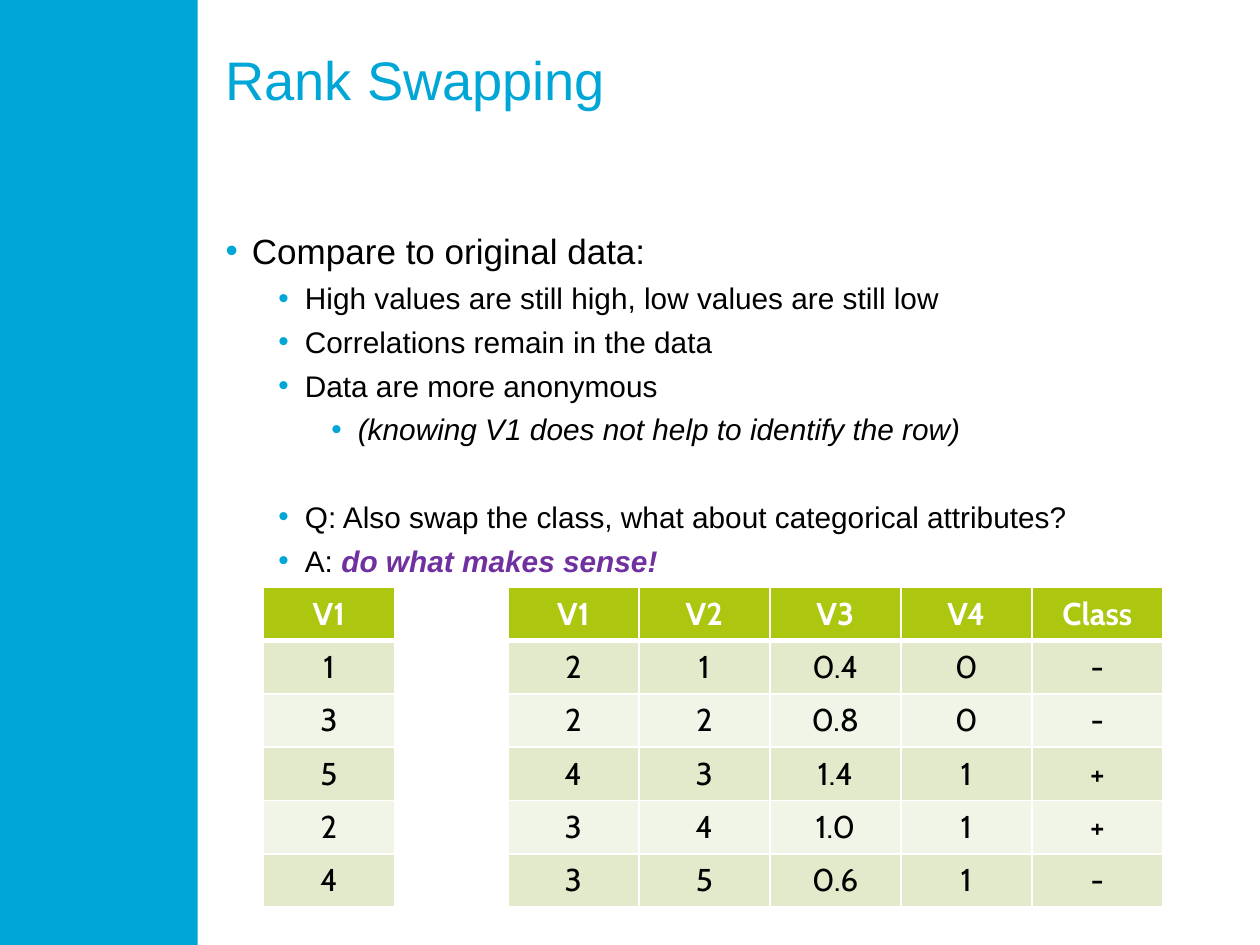
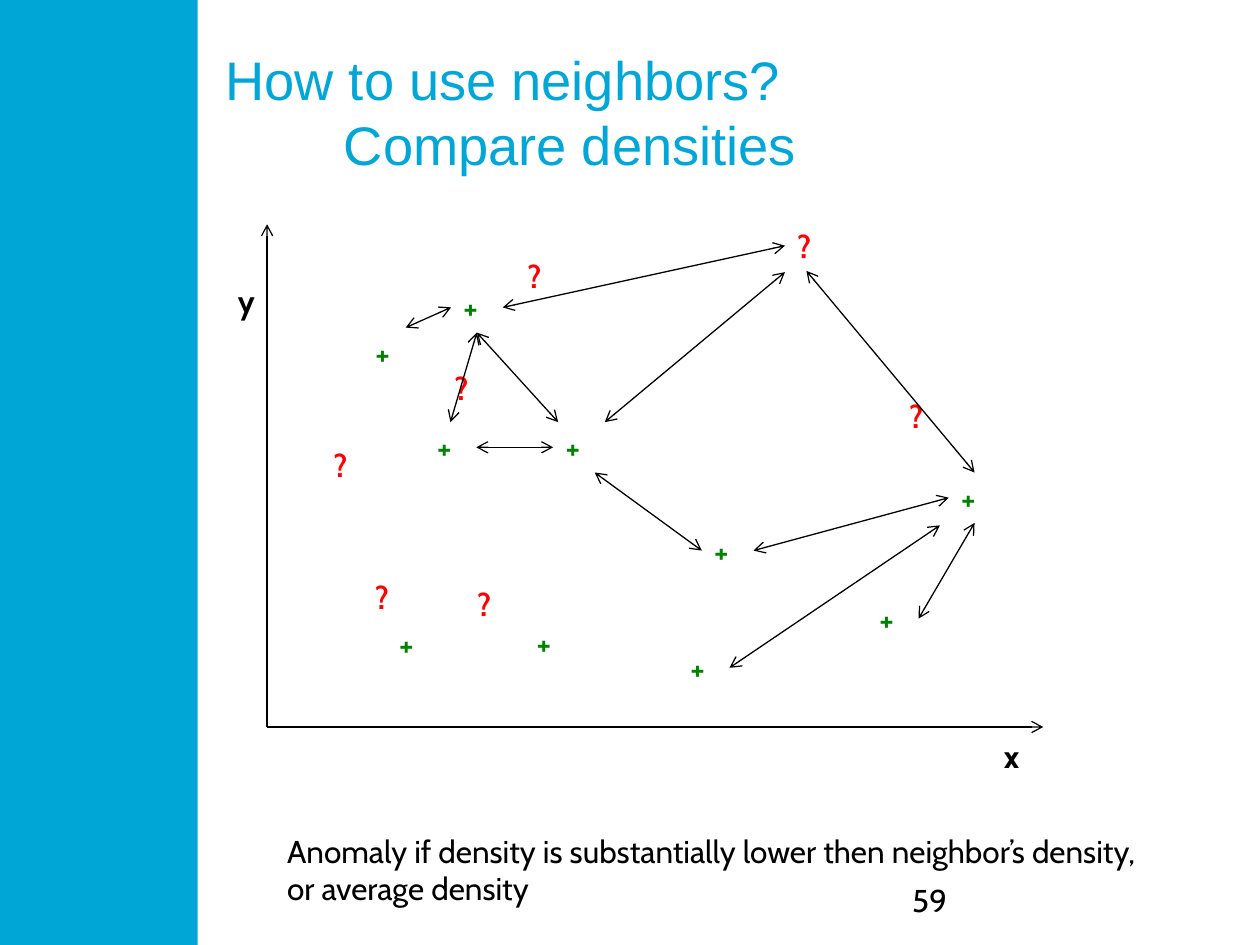
import pptx
import pptx.dml.color
import pptx.enum.shapes
import pptx.enum.text
import pptx.oxml.ns
import pptx.util
import lxml.etree

COLORS = {
    "band": "00A6D6", "black": "000000", "white": "FFFFFF", "answer": "7030A0",
    "header": "ADC610", "odd_row": "E3EACC", "even_row": "F1F5E7",
    "plus": "008000", "question": "FF0000",
}
Inches = pptx.util.Inches
qn = pptx.oxml.ns.qn


def write_text(paragraph, text, size=18, font="Cabin", color="black", bold=False, italic=False):
    run = paragraph.add_run()
    run.text = text
    run.font.size = pptx.util.Pt(size)
    run.font.name = font
    run.font.bold = bold
    run.font.italic = italic
    run.font.color.rgb = pptx.dml.color.RGBColor.from_string(COLORS[color])


def add_box(slide, left, top, width, height, inset_x=0.1, inset_y=0.05):
    shape = slide.shapes.add_textbox(Inches(left), Inches(top), Inches(width), Inches(height))
    frame = shape.text_frame
    frame.word_wrap = True
    frame.margin_left = frame.margin_right = Inches(inset_x)
    frame.margin_top = frame.margin_bottom = Inches(inset_y)
    return shape


presentation = pptx.Presentation()
presentation.slide_width = Inches(10)
presentation.slide_height = Inches(7.5)

slides = []
for title_lines in [["Rank Swapping"], ["How to use neighbors?", "Compare densities"]]:
    slide = presentation.slides.add_slide(presentation.slide_layouts[6])
    band = slide.shapes.add_shape(
        pptx.enum.shapes.MSO_SHAPE.RECTANGLE, 0, 0, Inches(1.57), Inches(7.5))
    band.shadow.inherit = False
    band.fill.solid()
    band.fill.fore_color.rgb = pptx.dml.color.RGBColor.from_string(COLORS["band"])
    band.line.fill.background()

    paragraph = add_box(slide, 1.79, 0.37, 7.7, 1.16, 0, 0).text_frame.paragraphs[0]
    properties = paragraph._p.get_or_add_pPr()
    properties.set("marL", str(Inches(0.94)))
    properties.set("indent", str(Inches(-0.94)))
    for index, line in enumerate(title_lines):
        if index:
            paragraph.add_line_break()
        write_text(paragraph, line, size=31, font="Arial", color="band")
    slides.append(slide)

swapping_slide, density_slide = slides

bullets = [
    (0, "Compare to original data:", {"size": 20}, 0),
    (1, "High values are still high, low values are still low", {}, 0),
    (1, "Correlations remain in the data", {}, 0),
    (1, "Data are more anonymous", {}, 0),
    (2, "(knowing V1 does not help to identify the row)", {"italic": True}, 0),
    (1, "Q: Also swap the class, what about categorical attributes?", {}, 25),
    (1, "A: ", {}, 0),
]
frame = add_box(swapping_slide, 1.79, 1.81, 7.7, 5.26, 0, 0).text_frame
for index, (level, text, text_format, space_before) in enumerate(bullets):
    paragraph = frame.add_paragraph() if index else frame.paragraphs[0]
    paragraph.level = level
    paragraph.line_spacing = pptx.util.Pt(25)
    paragraph.space_before = pptx.util.Pt(space_before)
    properties = paragraph._p.get_or_add_pPr()
    properties.set("marL", str(Inches(0.21 + 0.42 * level)))
    properties.set("indent", str(Inches(-0.21)))
    bullet_color = lxml.etree.SubElement(properties, qn("a:buClr"))
    lxml.etree.SubElement(bullet_color, qn("a:srgbClr"), val=COLORS["band"])
    lxml.etree.SubElement(properties, qn("a:buFont"), typeface="Arial")
    lxml.etree.SubElement(properties, qn("a:buChar"), char="•")
    write_text(paragraph, text, **{"size": 17, "font": "Arial", **text_format})
write_text(paragraph, "do what makes sense!", size=17, font="Arial",
           color="answer", bold=True, italic=True)

swapped_rows = [
    ["V1", "V2", "V3", "V4", "Class"],
    ["2", "1", "0.4", "0", "-"],
    ["2", "2", "0.8", "0", "-"],
    ["4", "3", "1.4", "1", "+"],
    ["3", "4", "1.0", "1", "+"],
    ["3", "5", "0.6", "1", "-"],
]
original_rows = [["V1"], ["1"], ["3"], ["5"], ["2"], ["4"]]
for left, rows in [(4.03, swapped_rows), (2.09, original_rows)]:
    column_count = len(rows[0])
    table = swapping_slide.shapes.add_table(
        len(rows), column_count, Inches(left), Inches(4.66),
        Inches(1.04 * column_count), Inches(2.54)).table
    for row_index, row in enumerate(rows):
        is_header = row_index == 0
        fill_name = "header" if is_header else "odd_row" if row_index % 2 else "even_row"
        for column_index, text in enumerate(row):
            cell = table.cell(row_index, column_index)
            cell.vertical_anchor = pptx.enum.text.MSO_ANCHOR.MIDDLE
            thick_side = {0: "B", 1: "T"}.get(row_index)
            for side in "LRTB":
                width = 3 if side == thick_side else 1
                border = lxml.etree.SubElement(
                    cell._tc.get_or_add_tcPr(), qn("a:ln" + side), w=str(pptx.util.Pt(width)))
                border_fill = lxml.etree.SubElement(border, qn("a:solidFill"))
                lxml.etree.SubElement(border_fill, qn("a:srgbClr"), val=COLORS["white"])
            cell.fill.solid()
            cell.fill.fore_color.rgb = pptx.dml.color.RGBColor.from_string(COLORS[fill_name])
            paragraph = cell.text_frame.paragraphs[0]
            paragraph.alignment = pptx.enum.text.PP_ALIGN.CENTER
            write_text(paragraph, text, color="white" if is_header else "black", bold=is_header)

plus_positions = {
    "center": (5.57, 4.17), "low_middle": (4.16, 4.9), "low_left": (3.07, 4.91),
    "inner_right": (4.39, 3.35), "upper_left": (2.88, 2.6), "inner_left": (3.37, 3.35),
    "low_center": (5.38, 5.1), "low_right": (6.88, 4.71), "right": (7.53, 3.75),
    "top": (3.58, 2.24),
}
question_positions = {
    "question_low_left": (2.88, 4.54), "question_right": (7.12, 3.1),
    "question_top_left": (4.09, 1.99), "question_top": (6.23, 1.75),
    "question_low": (3.69, 4.59), "question_inner": (3.51, 2.88),
    "question_left": (2.55, 3.49),
}
points = {}
for text, color, width, positions in [
    ("y", "black", 0.35, {"y": (1.79, 2.19)}),
    ("x", "black", 0.36, {"x": (7.87, 5.8)}),
    ("+", "plus", 0.41, plus_positions),
    ("?", "question", 0.34, question_positions),
]:
    for name, (left, top) in positions.items():
        points[name] = add_box(density_slide, left, top, width, 0.4)
        write_text(points[name].text_frame.paragraphs[0], text, color=color, bold=True)

TOP, LEFT, BOTTOM, RIGHT = range(4)
axes = [((2.12, 5.77), (2.12, 1.78)), ((2.12, 5.77), (8.28, 5.77))]
distances = [
    ((4.8, 3.35), (6.23, 2.16)),
    (("right", TOP), ("question_top", BOTTOM)),
    (("top", RIGHT), ("question_top", LEFT)),
    (("top", LEFT), (3.22, 2.6)),
    (("top", BOTTOM), ("inner_left", TOP)),
    (("top", BOTTOM), (4.43, 3.35)),
    ((4.72, 3.75), ("center", LEFT)),
    (("right", LEFT), ("center", RIGHT)),
    ((7.46, 4.17), ("low_center", RIGHT)),
    (("right", BOTTOM), ("low_right", RIGHT)),
    (("inner_right", LEFT), ("inner_left", RIGHT)),
]
for start, end in axes + distances:
    coordinates = [Inches(0 if isinstance(value, str) else value) for value in start + end]
    connector = density_slide.shapes.add_connector(
        pptx.enum.shapes.MSO_CONNECTOR.STRAIGHT, *coordinates)
    if start[0] in points:
        connector.begin_connect(points[start[0]], start[1])
    if end[0] in points:
        connector.end_connect(points[end[0]], end[1])
    connector.line.width = pptx.util.Pt(0.75)
    connector.line.color.rgb = pptx.dml.color.RGBColor.from_string(COLORS["black"])
    arrow_ends = ["a:tailEnd"] if (start, end) in axes else ["a:headEnd", "a:tailEnd"]
    for arrow_end in arrow_ends:
        lxml.etree.SubElement(connector.line._get_or_add_ln(), qn(arrow_end), type="arrow")
    lxml.etree.SubElement(connector._element.spPr, qn("a:effectLst"))

frame = add_box(density_slide, 2.18, 6.55, 7.36, 0.71).text_frame
write_text(frame.paragraphs[0], "Anomaly if density is substantially lower then neighbor’s density,")
write_text(frame.add_paragraph(), "or average density")
page_number = add_box(density_slide, 7.17, 6.95, 2.33, 0.4, 0.07, 0.04)
write_text(page_number.text_frame.paragraphs[0], "59")

presentation.save("out.pptx")
